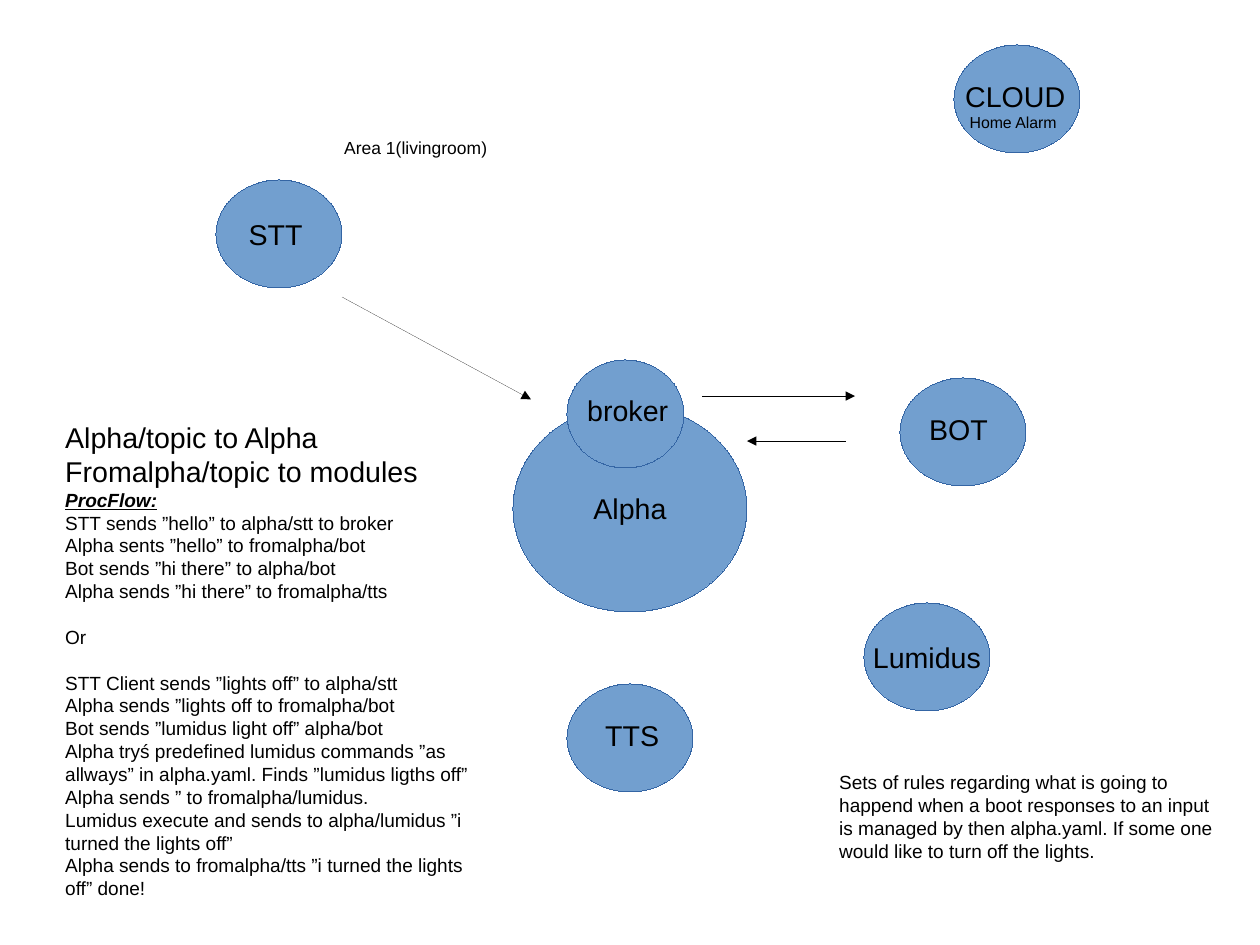
from lxml import etree
from pptx import Presentation
from pptx.dml.color import RGBColor
from pptx.enum.shapes import MSO_CONNECTOR, MSO_SHAPE
from pptx.enum.text import MSO_ANCHOR, MSO_AUTO_SIZE, PP_ALIGN
from pptx.oxml.ns import qn
from pptx.util import Pt

PX = 9000
SLIDE_WIDTH, SLIDE_HEIGHT = 1120, 840
STRAIGHT = MSO_CONNECTOR.STRAIGHT
ELLIPSE = MSO_SHAPE.OVAL
MIDDLE = MSO_ANCHOR.MIDDLE
GROW = MSO_AUTO_SIZE.SHAPE_TO_FIT_TEXT
CENTER = PP_ALIGN.CENTER

BLACK = RGBColor(0x00, 0x00, 0x00)
NODE_FILL = RGBColor(0x72, 0x9F, 0xCF)
NODE_LINE = RGBColor(0x34, 0x65, 0xA4)

HEADING = {"size": Pt(18)}
BODY = {"size": Pt(12)}
AREA = {"size": Pt(11)}
CAPTION = {"size": Pt(10)}
FLOW_TITLE = {"size": Pt(12), "bold": True, "italic": True, "underline": True}
NO_GAP = Pt(0)
BLANK_LINE = Pt(14.4)

MODULE_SIZE = (112, 96)

TOPICS = ["Alpha/topic to Alpha", "Fromalpha/topic to modules"]
HELLO_FLOW = [
    "STT sends ”hello” to alpha/stt to broker",
    "Alpha sents ”hello” to fromalpha/bot",
    "Bot sends ”hi there” to alpha/bot",
    "Alpha sends ”hi there” to fromalpha/tts",
]
LIGHTS_FLOW = [
    "STT Client sends ”lights off” to alpha/stt",
    "Alpha sends ”lights off to fromalpha/bot",
    "Bot sends ”lumidus light off” alpha/bot",
    "Alpha tryś predefined lumidus commands ”as allways” in alpha.yaml. "
    "Finds ”lumidus ligths off”",
    "Alpha sends ” to fromalpha/lumidus.",
    "Lumidus execute and sends to alpha/lumidus ”i turned the lights off”",
    "Alpha sends to fromalpha/tts ”i turned the lights off” done!",
]
RULES = (
    "Sets of rules regarding what is going to happend when a boot responses "
    "to an input is managed by then alpha.yaml. If some one would like to "
    "turn off the lights."
)


def scaled(*lengths):
    """Turn px lengths into EMU."""
    return [length * PX for length in lengths]


def set_format(target, values):
    """Set every attribute in values on target."""
    for attribute, value in values.items():
        setattr(target, attribute, value)


def draw_hairline(shape, color):
    """Give a shape the thinnest line and return the line's XML."""
    shape.line.color.rgb = color
    outline = shape._element.spPr.find(qn("a:ln"))
    outline.set("w", "0")
    return outline


def write_lines(frame, lines, alignment=None):
    """Fill a text frame with (text, font format, space before) lines."""
    for index, (text, style, gap) in enumerate(lines):
        paragraph = frame.add_paragraph() if index else frame.paragraphs[0]
        set_format(paragraph, {"alignment": alignment, "space_before": gap})
        run = paragraph.add_run()
        run.text = text
        set_format(run.font, {"name": "Arial", **style})
        run.font.color.rgb = BLACK


def add_node(slide, left, top, size=MODULE_SIZE, label=None):
    """Draw a module ellipse, with a centred label if one is given."""
    node = slide.shapes.add_shape(ELLIPSE, *scaled(left, top, *size))
    node.shadow.inherit = False
    node.fill.solid()
    node.fill.fore_color.rgb = NODE_FILL
    draw_hairline(node, NODE_LINE)
    if label:
        set_format(node.text_frame, {"word_wrap": False, "vertical_anchor": MIDDLE})
        write_lines(node.text_frame, [(label, HEADING, NO_GAP)], CENTER)


def add_note(slide, box, lines):
    """Add a wrapped text box that grows with its text."""
    frame = slide.shapes.add_textbox(*scaled(*box)).text_frame
    set_format(frame, {"word_wrap": True, "auto_size": GROW})
    write_lines(frame, lines)


def add_arrow(slide, start, end):
    """Draw a hairline message arrow from start to end."""
    arrow = slide.shapes.add_connector(STRAIGHT, *scaled(*start, *end))
    outline = draw_hairline(arrow, BLACK)
    etree.SubElement(outline, qn("a:tailEnd"), type="triangle")
    etree.SubElement(arrow._element.spPr, qn("a:effectLst"))


def flow_lines():
    """List the topic rules and both process flows."""
    return [
        *[(topic, HEADING, NO_GAP) for topic in TOPICS],
        ("ProcFlow:", FLOW_TITLE, NO_GAP),
        *[(step, BODY, NO_GAP) for step in HELLO_FLOW],
        ("Or", BODY, BLANK_LINE),
        (LIGHTS_FLOW[0], BODY, BLANK_LINE),
        *[(step, BODY, NO_GAP) for step in LIGHTS_FLOW[1:]],
    ]


def main():
    """Build the module diagram slide."""
    deck = Presentation()
    deck.slide_width, deck.slide_height = scaled(SLIDE_WIDTH, SLIDE_HEIGHT)
    slide = deck.slides.add_slide(deck.slide_layouts[6])

    add_node(slide, 456, 360, (208, 184), "Alpha")
    add_node(slide, 504, 320, (104, 96))
    add_node(slide, 768, 536, label="Lumidus")
    for left, top in [(800, 336), (504, 608), (192, 160), (848, 40)]:
        add_node(slide, left, top)

    for label, box in [
        ("broker", (512, 344, 104, 40)),
        ("BOT", (816, 361, 80, 39)),
        ("STT", (211, 188, 88, 39)),
        ("TTS", (528, 633, 96, 39)),
    ]:
        add_note(slide, box, [(label, HEADING, NO_GAP)])
    add_note(slide, (848, 65, 112, 54),
             [("CLOUD", HEADING, NO_GAP), (" Home Alarm", CAPTION, NO_GAP)])

    for start, end in [
        ((624, 352), (760, 352)),
        ((752, 392), (664, 392)),
        ((304, 264), (472, 355)),
    ]:
        add_arrow(slide, start, end)

    add_note(slide, (296, 117, 288, 67), [("Area 1(livingroom)", AREA, NO_GAP)])
    add_note(slide, (48, 368, 392, 440), flow_lines())
    add_note(slide, (736, 680, 360, 86), [(RULES, BODY, NO_GAP)])
    deck.save("out.pptx")


if __name__ == "__main__":
    main()
